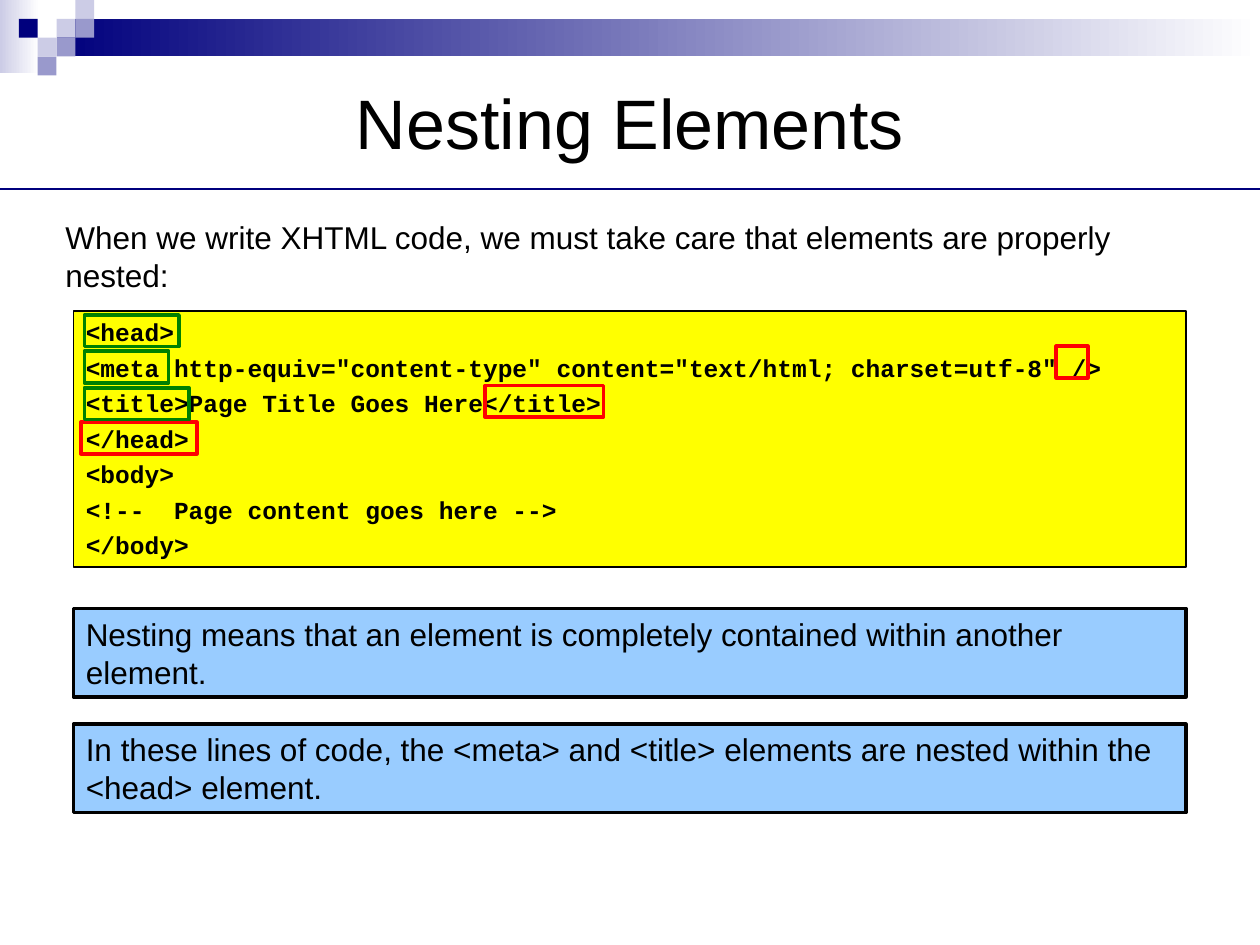
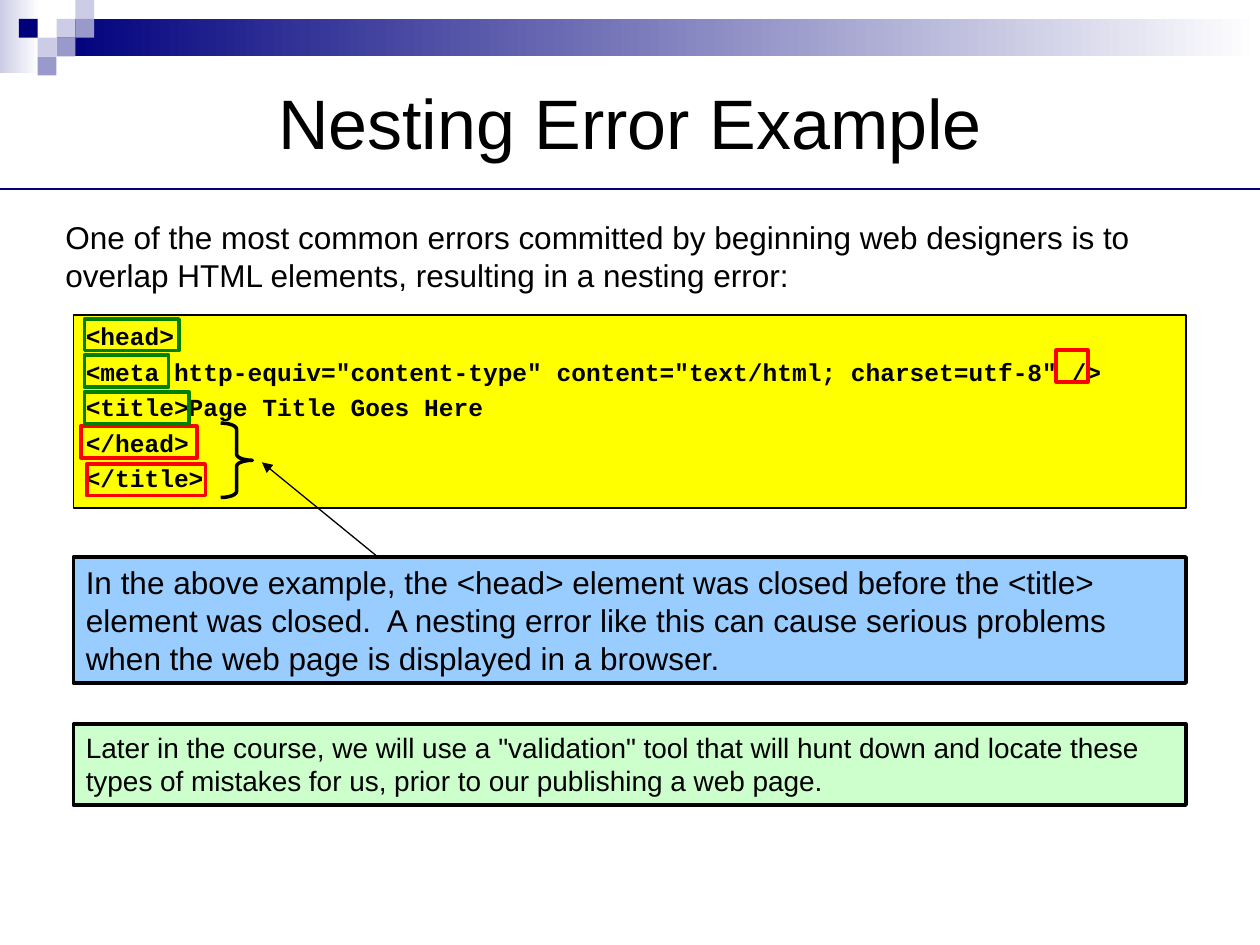
from lxml import etree
from pptx import Presentation
from pptx.dml.color import RGBColor
from pptx.enum.shapes import MSO_CONNECTOR, MSO_SHAPE
from pptx.enum.text import MSO_ANCHOR, PP_ALIGN
from pptx.oxml.ns import qn
from pptx.util import Cm, Pt

RECTANGLE = MSO_SHAPE.RECTANGLE
RIGHT_BRACE = MSO_SHAPE.RIGHT_BRACE
STRAIGHT = MSO_CONNECTOR.STRAIGHT
TOP, MIDDLE = MSO_ANCHOR.TOP, MSO_ANCHOR.MIDDLE
LEFT, CENTER = PP_ALIGN.LEFT, PP_ALIGN.CENTER

BLACK, WHITE = "000000", "FFFFFF"
NAVY, LAVENDER, PERIWINKLE = "00007D", "CCCCE6", "9999CC"
YELLOW, SKY, MINT = "FFFF00", "99CCFF", "CCFFCC"
OPENING, CLOSING = "008000", "FF0000"
TEXT_FONT, CODE_FONT = "Arial", "Courier New"

# All positions and sizes are in centimetres.
SLIDE_WIDTH, SLIDE_HEIGHT = 25.4, 19.05
RULE_TOP = 3.81
BOX_LEFT, BOX_WIDTH = 1.48, 22.43
TITLE_AREA = (1.27, 1.07, 22.86, 2.74)
INTRO_AREA = (1.07, 4.27, 22.81, 1.78)
TAG_HEIGHT = 0.64
CODE_INDENT = 0.95

GRADIENT_BANDS = [
    ((0, 0, 0.79, 1.47), LAVENDER),
    ((1.14, 0.38, 24.26, 0.76), NAVY),
]
SQUARE = 0.38
SQUARES = [  # column, row, colour
    (3, 1, LAVENDER), (4, 0, LAVENDER), (4, 1, PERIWINKLE), (2, 2, LAVENDER),
    (1, 1, NAVY), (3, 2, PERIWINKLE), (2, 3, PERIWINKLE),
]

SHARED_TAGS = [  # left, distance below the top of the code box, width, colour
    (1.63, 2.24, 2.34, CLOSING),
    (1.7, 0.08, 1.91, OPENING),
    (1.7, 0.81, 1.7, OPENING),
    (1.7, 1.55, 2.11, OPENING),
    (21.29, 0.71, 0.64, CLOSING),
]
CODE_START = [
    '<head>',
    '<meta http-equiv="content-type" content="text/html; charset=utf-8" />',
]

SLIDES = [
    {
        "title": "Nesting Elements",
        "intro": "When we write XHTML code, we must take care that elements "
                 "are properly nested:",
        "code": CODE_START + [
            "<title>Page Title Goes Here</title>",
            "</head>",
            "<body>",
            "<!--  Page content goes here -->",
            "</body>",
        ],
        "code_top": 6.27,
        "code_height": 5.16,
        "title_end_tag": (9.78, 1.5, 2.39, CLOSING),
        "notes": [  # text, top, height, fill, size
            ("Nesting means that an element is completely contained within "
             "another element.", 12.27, 1.78, SKY, 18),
            ("In these lines of code, the <meta> and <title> elements are "
             "nested within the <head> element.", 14.6, 1.78, SKY, 18),
        ],
    },
    {
        "title": "Nesting Error Example",
        "intro": "One of the most common errors committed by beginning web "
                 "designers is to overlap HTML elements, resulting in a "
                 "nesting error:",
        "code": CODE_START + [
            "<title>Page Title Goes Here",
            "</head>",
            "</title>",
        ],
        "code_top": 6.35,
        "code_height": 3.89,
        "title_end_tag": (1.75, 3.0, 2.39, CLOSING),
        "notes": [
            ("In the above example, the <head> element was closed before the "
             "<title> element was closed.  A nesting error like this can "
             "cause serious problems when the web page is displayed in a "
             "browser.", 11.23, 2.54, SKY, 18),
            ('Later in the course, we will use a "validation" tool that will '
             "hunt down and locate these types of mistakes for us, prior to "
             "our publishing a web page.", 14.6, 1.63, MINT, 16),
        ],
        "brace": (4.45, 8.53, 0.64, 1.5),
        "arrow": (7.62, 11.23, 5.28, 9.32),
    },
]


def rgb(color):
    return RGBColor.from_string(color)


def add_shape(slide, area, fill=None, line=None, line_width=2, kind=RECTANGLE):
    shape = slide.shapes.add_shape(kind, *map(Cm, area))
    shape.shadow.inherit = False
    if fill:
        shape.fill.solid()
        shape.fill.fore_color.rgb = rgb(fill)
    else:
        shape.fill.background()
    if line:
        shape.line.color.rgb = rgb(line)
        shape.line.width = Pt(line_width)
    else:
        shape.line.fill.background()
    return shape


def add_gradient_band(slide, area, color):
    """Add a band that fades from color at the left to white."""
    band = add_shape(slide, area, color)
    band.fill.gradient()
    band.fill.gradient_angle = 0
    for stop, position, stop_color in zip(
            band.fill.gradient_stops, (0, 1), (color, WHITE)):
        stop.position = position
        stop.color.rgb = rgb(stop_color)


def add_line(slide, ends, color, width):
    line = slide.shapes.add_connector(STRAIGHT, *map(Cm, ends))
    line.line.color.rgb = rgb(color)
    line.line.width = Pt(width)
    etree.SubElement(line._element.spPr, qn("a:effectLst"))
    return line


def write(shape, lines, size, font=TEXT_FONT, bold=False, align=LEFT,
          anchor=TOP, before=0, after=0):
    """Write one paragraph for each line and return the paragraphs."""
    frame = shape.text_frame
    frame.word_wrap = True
    frame.vertical_anchor = anchor
    for _ in lines[1:]:
        frame.add_paragraph()
    for paragraph, text in zip(frame.paragraphs, lines):
        paragraph.alignment = align
        paragraph.space_before = Pt(before)
        paragraph.space_after = Pt(after)
        run = paragraph.add_run()
        run.text = text
        run.font.name = font
        run.font.size = Pt(size)
        run.font.bold = bold
        run.font.color.rgb = rgb(BLACK)
    return frame.paragraphs


def add_text(slide, area, text, size, **style):
    write(slide.shapes.add_textbox(*map(Cm, area)), [text], size, **style)


def add_frame(slide, title):
    """Add the header decoration, the title and the rule below it."""
    for area, color in GRADIENT_BANDS:
        add_gradient_band(slide, area, color)
    for column, row, color in SQUARES:
        add_shape(slide, (column * SQUARE, row * SQUARE, SQUARE, SQUARE), color)
    add_text(slide, TITLE_AREA, title, 40, align=CENTER, anchor=MIDDLE)
    add_line(slide, (0, RULE_TOP, SLIDE_WIDTH, RULE_TOP), NAVY, 1.25)


def add_code(slide, content):
    """Add the code box and the outlines around its tags."""
    top = content["code_top"]
    box = add_shape(slide, (BOX_LEFT, top, BOX_WIDTH, content["code_height"]),
                    YELLOW, BLACK, 0.75)
    for paragraph in write(box, content["code"], 14, CODE_FONT, bold=True,
                           before=3.5):
        properties = paragraph._p.get_or_add_pPr()
        properties.set("marL", str(Cm(CODE_INDENT)))
        properties.set("indent", str(-Cm(CODE_INDENT)))
    for left, offset, width, color in SHARED_TAGS + [content["title_end_tag"]]:
        add_shape(slide, (left, top + offset, width, TAG_HEIGHT), line=color)


def add_error_mark(slide, brace_area, arrow_ends):
    brace = add_shape(slide, brace_area, line=BLACK, kind=RIGHT_BRACE)
    brace.adjustments[0] = 0.19
    arrow = add_line(slide, arrow_ends, BLACK, 0.75)
    etree.SubElement(arrow.line._get_or_add_ln(), qn("a:tailEnd"),
                     type="triangle")


def main():
    presentation = Presentation()
    presentation.slide_width = Cm(SLIDE_WIDTH)
    presentation.slide_height = Cm(SLIDE_HEIGHT)
    blank = presentation.slide_layouts[6]
    for content in SLIDES:
        slide = presentation.slides.add_slide(blank)
        add_frame(slide, content["title"])
        add_text(slide, INTRO_AREA, content["intro"], 18)
        add_code(slide, content)
        for text, top, height, fill, size in content["notes"]:
            note = add_shape(slide, (BOX_LEFT, top, BOX_WIDTH, height),
                             fill, BLACK)
            write(note, [text], size, before=6, after=6)
        if "brace" in content:
            add_error_mark(slide, content["brace"], content["arrow"])
    presentation.save("out.pptx")


if __name__ == "__main__":
    main()
